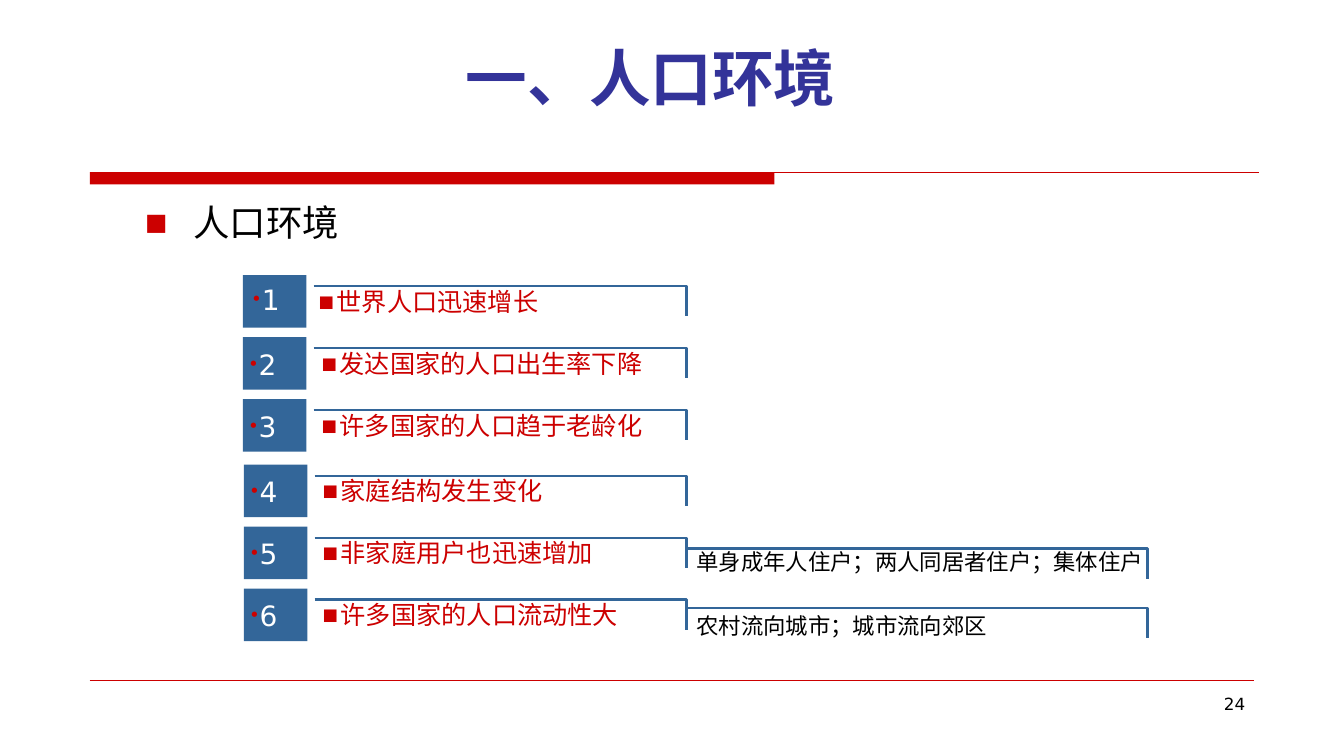
from lxml import etree
from pptx import Presentation, util as u
from pptx.dml.color import RGBColor
from pptx.enum import shapes, text
from pptx.oxml.ns import qn

THEME = {
    "red": RGBColor(0xCC, 0x00, 0x00),
    "blue": RGBColor(0x33, 0x66, 0x99),
    "navy": RGBColor(0x33, 0x33, 0x99),
    "black": RGBColor(0, 0, 0),
    "white": RGBColor(0xFF, 0xFF, 0xFF),
    "sans": "DejaVu Sans",
    "label_font": "Noto Sans CJK SC",
    "title_font": "Noto Sans CJK JP",
    "title": 44, "body": 26, "number": 20, "label": 18, "note": 16, "page": 12,
}
FRAME = {"word_wrap": True, "auto_size": text.MSO_AUTO_SIZE.NONE}
TIGHT = {
    "margin_left": 0, "margin_right": 0, "margin_top": 0, "margin_bottom": 0,
    "vertical_anchor": text.MSO_ANCHOR.MIDDLE,
    "auto_size": text.MSO_AUTO_SIZE.SHAPE_TO_FIT_TEXT,
}
NOTE = {"word_wrap": False, "auto_size": text.MSO_AUTO_SIZE.SHAPE_TO_FIT_TEXT}


def write(sp, box, words, size, color, font="sans", bold=False, bullet=None,
          indent=(0, 0), frame=None, para=None):
    sp.left, sp.top, sp.width, sp.height = [u.Inches(v) for v in box]
    tf = sp.text_frame
    for name, value in {**FRAME, **(frame or {})}.items():
        setattr(tf, name, value)
    p = tf.paragraphs[0]
    for name, value in (para or {}).items():
        setattr(p, name, value)
    r = p.add_run()
    r.text = words
    values = {"size": u.Pt(THEME[size]), "name": THEME[font], "bold": bold}
    for name, value in values.items():
        setattr(r.font, name, value)
    r.font.color.rgb = THEME[color]
    etree.SubElement(r._r.rPr, qn("a:ea")).set("typeface", THEME[font])
    if bullet:
        p.space_before = u.Pt(THEME[size] * 0.2)
        pPr = p._p.get_or_add_pPr()
        pPr.set("marL", str(u.Inches(indent[0])))
        pPr.set("indent", str(u.Inches(indent[1])))
        clr = etree.SubElement(pPr, qn("a:buClr"))
        etree.SubElement(clr, qn("a:srgbClr")).set("val", str(THEME["red"]))
        etree.SubElement(pPr, qn("a:buSzPct")).set("val", "65000")
        etree.SubElement(pPr, qn("a:buFont")).set("typeface", THEME["sans"])
        etree.SubElement(pPr, qn("a:buChar")).set("char", bullet)


def block(left, top, width, height, color):
    sp = s.shapes.add_shape(shapes.MSO_SHAPE.RECTANGLE, u.Inches(left),
                            u.Inches(top), u.Inches(width), u.Inches(height))
    sp.shadow.inherit = False
    sp.fill.solid()
    sp.fill.fore_color.rgb = THEME[color]
    sp.line.fill.background()


prs = Presentation()
prs.slide_width, prs.slide_height = u.Inches(13.33), u.Inches(7.5)
s = prs.slides.add_slide(prs.slide_layouts[1])

block(0.89, 1.71, 6.79, 0.12, "red")
for right, y, weight in ((12.49, 1.71, 0.75), (12.44, 6.75, 0.25)):
    rule = s.shapes.add_connector(shapes.MSO_CONNECTOR.STRAIGHT, u.Inches(0.89),
                                  u.Inches(y), u.Inches(right), u.Inches(y))
    rule.line.color.rgb = THEME["red"]
    rule.line.width = u.Pt(weight)
    etree.SubElement(rule._element.spPr, qn("a:effectLst"))

write(s.shapes.title, (2.25, 0.58, 6.14, 0.6), "一、人口环境", "title", "navy",
      font="title_font", bold=True,
      frame={"vertical_anchor": text.MSO_ANCHOR.BOTTOM},
      para={"alignment": text.PP_ALIGN.RIGHT})
write(s.placeholders[1], (0.83, 1.94, 11.67, 4.67), "人口环境", "body", "black",
      bullet="■", indent=(0.99, -0.48), para={"level": 1})

labels = ["世界人口迅速增长", "发达国家的人口出生率下降", "许多国家的人口趋于老龄化",
          "家庭结构发生变化", "非家庭用户也迅速增加", "许多国家的人口流动性大"]
brackets = []
for i, label in enumerate(labels):
    lower = i // 3
    x = 2.41 + 0.01 * lower
    y = 2.73 + 0.615 * i + 0.035 * lower
    nudge = 0.03 if i == 0 else 0
    block(x, y, 0.63, 0.52, "blue")
    write(s.shapes.add_textbox(0, 0, 0, 0),
          (x + 0.05 + nudge, y + 0.1 - nudge, 0.55, 0.33), str(i + 1),
          "number", "white", bullet="•", frame=TIGHT)
    write(s.shapes.add_textbox(0, 0, 0, 0),
          (x + 0.78 - nudge, y + 0.11, 4.25, 0.3), label, "label", "red",
          font="label_font", bullet="■", indent=(0.18, -0.18), frame=TIGHT,
          para={"level": 1})
    brackets.append((x + 0.7, y + 0.11, 6.81))

notes = [
    ("单身成年人住户；两人同居者住户；集体住户", (6.81, 5.42, 4.65, 0.34),
     {"line_spacing": 0.9, "space_before": u.Pt(3.2)}),
    ("农村流向城市；城市流向郊区", (6.81, 6.02, 3.09, 0.37), {}),
]
for words, box, para in notes:
    write(s.shapes.add_textbox(0, 0, 0, 0), box, words, "note", "black",
          frame=NOTE, para=para)
brackets += [(6.81, 5.44, 11.38), (6.81, 6.03, 11.38)]

for left, top, right in brackets:
    corners = [(u.Inches(a), u.Inches(b)) for a, b in
               ((left, top), (right, top), (right, top + 0.3))]
    builder = s.shapes.build_freeform(*corners[0])
    builder.add_line_segments(corners[1:], close=False)
    sp = builder.convert_to_shape()
    sp.shadow.inherit = False
    sp.fill.background()
    sp.line.color.rgb = THEME["blue"]
    sp.line.width = u.Pt(1.75)

write(s.shapes.add_textbox(0, 0, 0, 0), (9.56, 6.83, 2.89, 0.52), "24", "page",
      "black", para={"alignment": text.PP_ALIGN.RIGHT})

prs.save("out.pptx")
